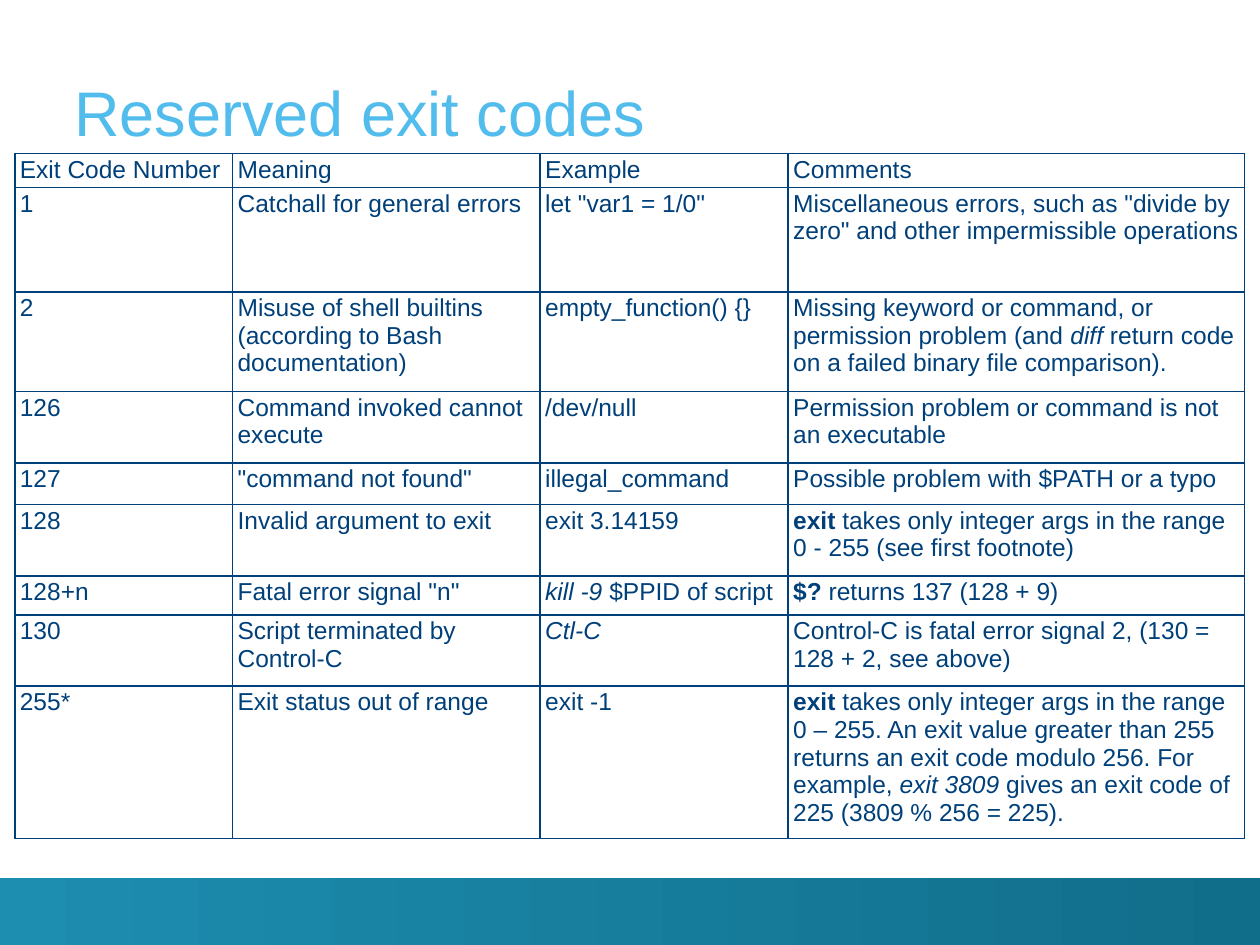
import pptx
import pptx.util
import pptx.dml.color
import pptx.enum.shapes
import pptx.enum.text
import pptx.oxml
import pptx.oxml.ns

Cm = pptx.util.Cm
COLORS = {"title": "52BDEC", "navy": "00407A", "band_left": "1D8DB0", "band_right": "116E8A"}
FONT = "Arial"
TITLE = "Reserved exit codes"
ROWS = [
    ["Exit Code Number", "Meaning", "Example", "Comments"],
    ["1", "Catchall for general errors", 'let "var1 = 1/0"',
     'Miscellaneous errors, such as "divide by zero" and other impermissible operations'],
    ["2", "Misuse of shell builtins (according to Bash documentation)", "empty_function() {}",
     [("Missing keyword or command, or permission problem (and ", ""), ("diff", "i"),
      (" return code on a failed binary file comparison).", "")]],
    ["126", "Command invoked cannot execute", "/dev/null",
     "Permission problem or command is not an executable"],
    ["127", '"command not found"', "illegal_command", "Possible problem with $PATH or a typo"],
    ["128", "Invalid argument to exit", "exit 3.14159",
     [("exit", "b"), (" takes only integer args in the range 0 - 255 (see first footnote)", "")]],
    ["128+n", 'Fatal error signal "n"', [("kill -9", "i"), (" $PPID of script", "")],
     [("$?", "b"), (" returns 137 (128 + 9)", "")]],
    ["130", "Script terminated by Control-C", [("Ctl-C", "i")],
     "Control-C is fatal error signal 2, (130 = 128 + 2, see above)"],
    ["255*", "Exit status out of range", "exit -1",
     [("exit", "b"),
      (" takes only integer args in the range 0 – 255. An exit value greater than 255 "
       "returns an exit code modulo 256. For example, ", ""),
      ("exit 3809", "i"), (" gives an exit code of 225 (3809 % 256 = 225).", "")]],
]
COL_WIDTHS = [4.39, 6.2, 5.0, 9.2]
ROW_HEIGHTS = [0.67, 2.1, 2.01, 1.44, 0.84, 1.44, 0.78, 1.44, 2.88]


def rgb(name):
    return pptx.dml.color.RGBColor.from_string(COLORS[name])


def write(tf, text, size=14, color="navy"):
    p = tf.paragraphs[0]
    runs = [(text, "")] if isinstance(text, str) else text
    for part, style in runs:
        r = p.add_run()
        r.text = part
        r.font.name = FONT
        r.font.size = pptx.util.Pt(size)
        r.font.color.rgb = rgb(color)
        r.font.bold = style == "b"
        r.font.italic = style == "i"


def add_borders(cell, color):
    pr = cell._tc.get_or_add_tcPr()
    for i, side in enumerate(("lnL", "lnR", "lnT", "lnB")):
        pr.insert(i, pptx.oxml.parse_xml(
            f'<a:{side} {pptx.oxml.ns.nsdecls("a")} w="12700"><a:solidFill>'
            f'<a:srgbClr val="{COLORS[color]}"/></a:solidFill></a:{side}>'))


def add_band(s):
    sp = s.shapes.add_shape(pptx.enum.shapes.MSO_SHAPE.RECTANGLE,
                            0, Cm(17.7), Cm(25.4), Cm(1.35))
    sp.shadow.inherit = False
    sp.line.fill.background()
    sp.fill.gradient()
    sp.fill.gradient_angle = 0
    for stop, name in zip(sp.fill.gradient_stops, ("band_left", "band_right")):
        stop.color.rgb = rgb(name)


def add_title(s):
    sp = s.shapes.add_textbox(Cm(1.5), Cm(0.5), Cm(23.14), Cm(2.5))
    tf = sp.text_frame
    tf.word_wrap = True
    tf.vertical_anchor = pptx.enum.text.MSO_ANCHOR.BOTTOM
    tf.margin_left = tf.margin_right = tf.margin_top = tf.margin_bottom = 0
    write(tf, TITLE, size=36, color="title")


def add_code_table(s):
    table = s.shapes.add_table(len(ROWS), len(COL_WIDTHS), Cm(0.3), Cm(3.09),
                               Cm(sum(COL_WIDTHS)), Cm(sum(ROW_HEIGHTS))).table
    table.first_row = table.horz_banding = False
    for col, width in zip(table.columns, COL_WIDTHS):
        col.width = Cm(width)
    for row, height, texts in zip(table.rows, ROW_HEIGHTS, ROWS):
        row.height = Cm(height)
        for cell, text in zip(row.cells, texts):
            cell.margin_left = cell.margin_right = Cm(0.1)
            cell.margin_top = cell.margin_bottom = Cm(0.05)
            cell.fill.background()
            add_borders(cell, "navy")
            write(cell.text_frame, text)


def main():
    prs = pptx.Presentation()
    prs.slide_width, prs.slide_height = Cm(25.4), Cm(19.05)
    s = prs.slides.add_slide(prs.slide_layouts[6])
    add_band(s)
    add_title(s)
    add_code_table(s)
    prs.save("out.pptx")


if __name__ == "__main__":
    main()
